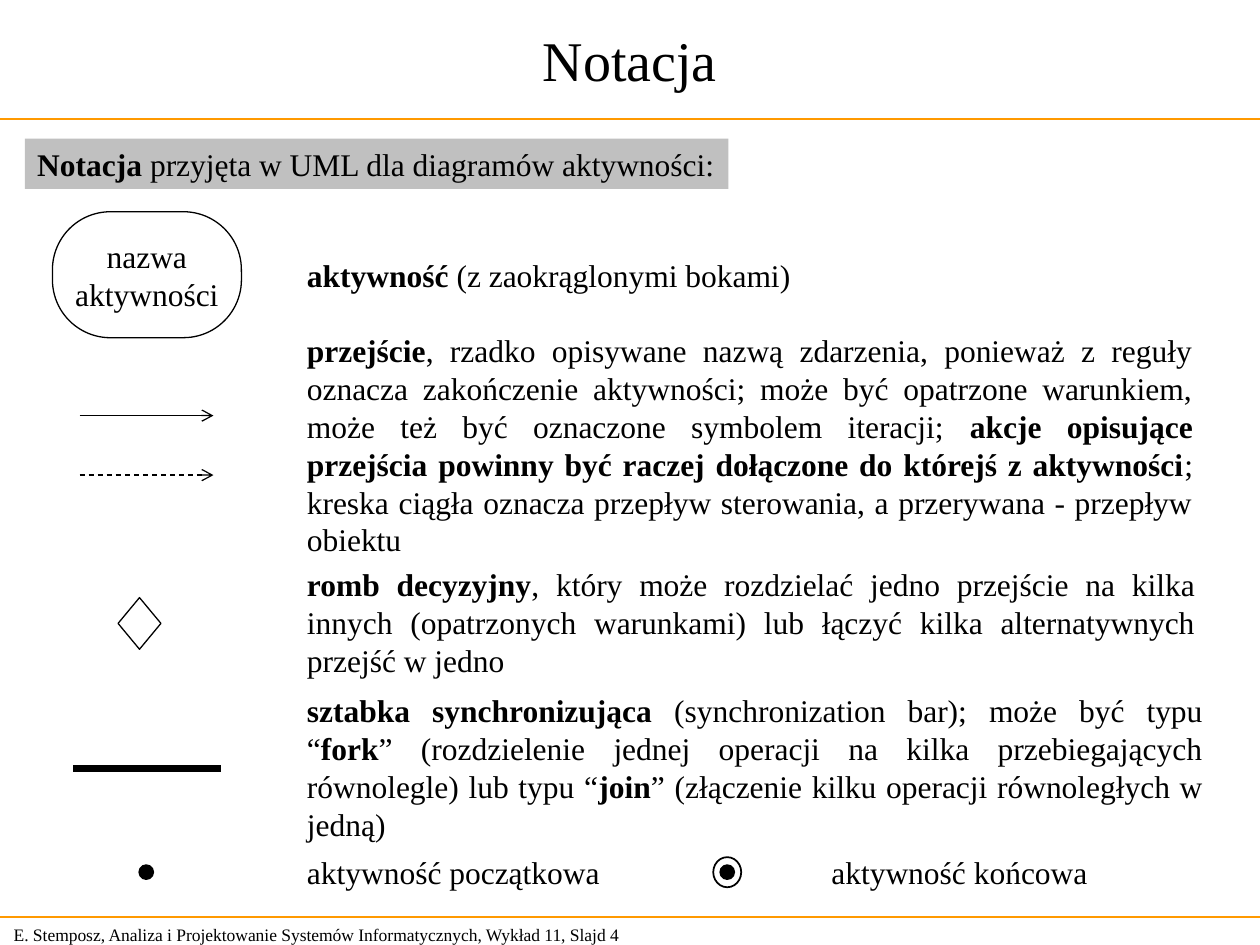
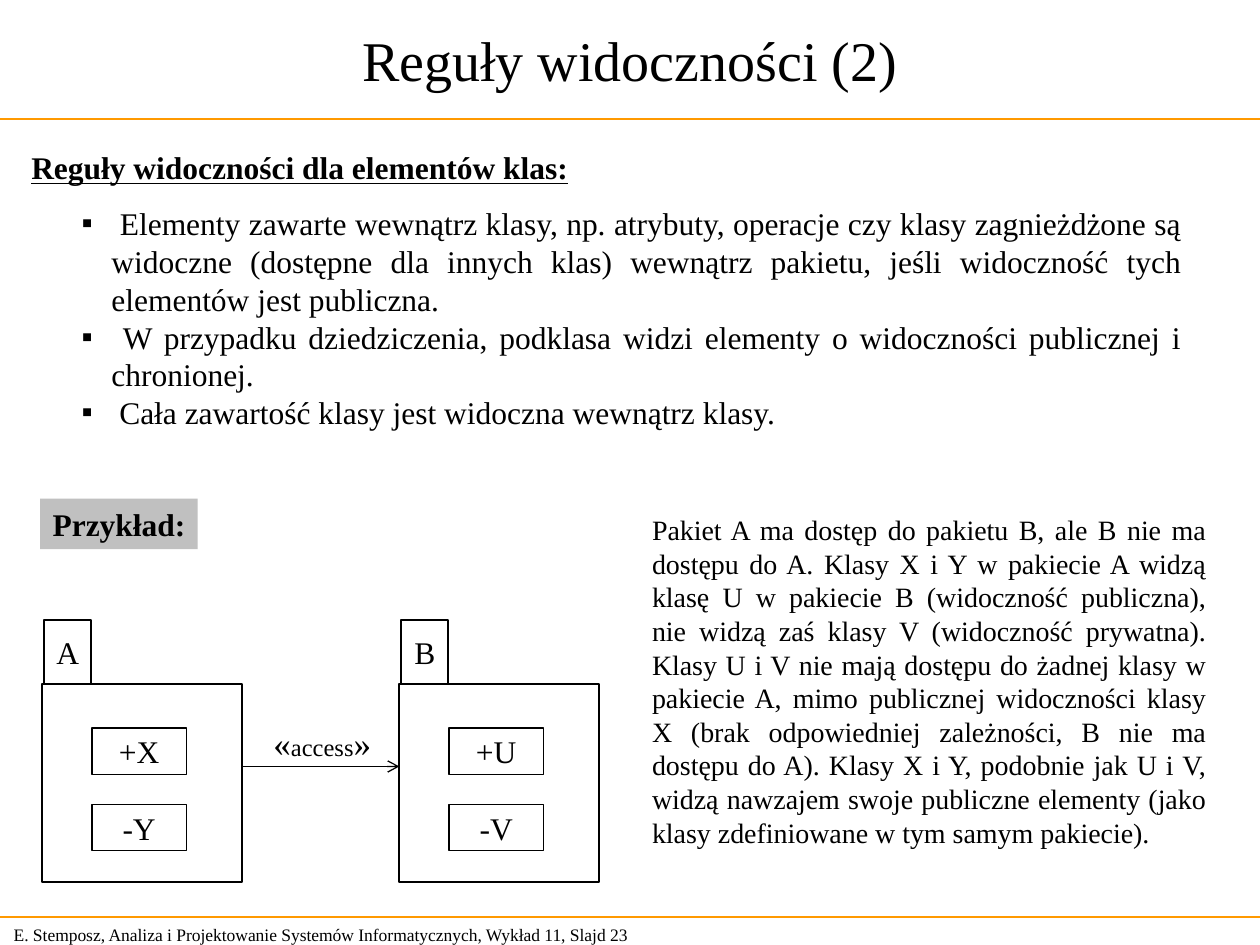
from lxml import etree
from pptx import Presentation
from pptx.dml.color import RGBColor
from pptx.enum.dml import MSO_LINE
from pptx.enum.shapes import MSO_CONNECTOR, MSO_SHAPE
from pptx.enum.text import MSO_ANCHOR, MSO_AUTO_SIZE, PP_ALIGN
from pptx.oxml.ns import qn
from pptx.util import Pt

LEFT, CENTER, JUSTIFY = PP_ALIGN.LEFT, PP_ALIGN.CENTER, PP_ALIGN.JUSTIFY
TOP, MIDDLE = MSO_ANCHOR.TOP, MSO_ANCHOR.MIDDLE
RECT, ROUNDED = MSO_SHAPE.RECTANGLE, MSO_SHAPE.ROUNDED_RECTANGLE
DIAMOND, OVAL = MSO_SHAPE.DIAMOND, MSO_SHAPE.OVAL
STRAIGHT, DASH = MSO_CONNECTOR.STRAIGHT, MSO_LINE.DASH
NO_FIT = MSO_AUTO_SIZE.NONE

COLORS = {"ink": "000000", "label": "C0C0C0", "rule": "FF9900"}
FONT = "Times New Roman"
TITLE_ONLY = 5
WIDTH, HEIGHT = 720, 540
BULLET_INDENT = 17


def color(name):
    return RGBColor.from_string(COLORS[name])


def points(box):
    return [Pt(value) for value in box]


def spans_of(text):
    """Split text into spans; the parts between asterisks are bold."""
    return [(part, {"bold": index % 2 == 1})
            for index, part in enumerate(text.split("*")) if part]


def write(frame, paras, align=LEFT, anchor=TOP, wrap=True, size=18, **font):
    """Fill a text frame; a para is marked-up text or a list of spans."""
    layout = {"word_wrap": wrap, "vertical_anchor": anchor, "auto_size": NO_FIT,
              "margin_left": Pt(7.2), "margin_right": Pt(7.2),
              "margin_top": Pt(3.6), "margin_bottom": Pt(3.6)}
    for name, value in layout.items():
        setattr(frame, name, value)
    for index, content in enumerate(paras):
        para = frame.paragraphs[0] if index == 0 else frame.add_paragraph()
        para.alignment = align
        spans = spans_of(content) if isinstance(content, str) else content
        for text, extra in spans:
            span = para.add_run()
            span.text = text
            formats = {"name": FONT, "size": Pt(size), **font, **extra}
            for name, value in formats.items():
                setattr(span.font, name, value)
            span.font.color.rgb = color("ink")


def add_text(page, box, *paras, **formats):
    shape = page.shapes.add_textbox(*points(box))
    write(shape.text_frame, paras, **formats)
    return shape


def add_figure(page, kind, box, fill=None, line="ink", weight=0.75):
    shape = page.shapes.add_shape(kind, *points(box))
    shape.shadow.inherit = False
    if fill:
        shape.fill.solid()
        shape.fill.fore_color.rgb = color(fill)
    else:
        shape.fill.background()
    if line:
        shape.line.color.rgb = color(line)
        shape.line.width = Pt(weight)
    else:
        shape.line.fill.background()
    return shape


def add_line(page, left, right, y, line="ink", weight=0.75, dash=None, arrow=False):
    connector = page.shapes.add_connector(STRAIGHT, *points((left, y, right, y)))
    connector.line.color.rgb = color(line)
    connector.line.width = Pt(weight)
    if dash:
        connector.line.dash_style = dash
    properties = connector.element.spPr
    if arrow:
        etree.SubElement(properties.find(qn("a:ln")), qn("a:tailEnd"), type="arrow")
    etree.SubElement(properties, qn("a:effectLst"))


def add_label(page, box, text):
    shape = add_figure(page, RECT, box, fill="label", line=None)
    write(shape.text_frame, [text], wrap=False)


def add_bullets(page, box, items):
    shape = add_text(page, box, *items, align=JUSTIFY)
    for para in shape.text_frame.paragraphs:
        properties = para._p.get_or_add_pPr()
        properties.set("marL", str(Pt(BULLET_INDENT)))
        properties.set("indent", str(-Pt(BULLET_INDENT)))
        etree.SubElement(properties, qn("a:buFont"), typeface=FONT)
        etree.SubElement(properties, qn("a:buChar"), char="▪")


def add_page(deck, title, number):
    """Add a page with its title, the two rules and the footer."""
    page = deck.slides.add_slide(deck.slide_layouts[TITLE_ONLY])
    heading = page.shapes.title
    heading.left, heading.top, heading.width, heading.height = points((3, 3, 714, 61))
    write(heading.text_frame, [title], align=CENTER, anchor=MIDDLE, size=32, bold=True)
    for y in (68, 524):
        add_line(page, 0, WIDTH, y, line="rule")
    add_text(page, (0.7, 524.2, 400, 19.4),
             "E. Stemposz, Analiza i Projektowanie Systemów Informatycznych, "
             f"Wykład 11, Slajd {number}", anchor=MIDDLE, size=10)
    return page


def add_symbols(page, left, top):
    """Draw the column of UML symbols down from its top left corner."""
    activity = add_figure(page, ROUNDED, (left, top, 108, 72))
    activity.adjustments[0] = 0.46
    write(activity.text_frame, ["nazwa", "aktywności"], align=CENTER,
          anchor=MIDDLE, wrap=False, bold=True)
    for offset, dash in ((116.5, None), (150.5, DASH)):
        add_line(page, left + 15.5, left + 92, top + offset, dash=dash, arrow=True)
    add_figure(page, DIAMOND, (left + 37.5, top + 220.5, 24.5, 29.5))
    add_line(page, left + 12, left + 96, top + 318, weight=4)


def add_dot(page, x, y, ringed=False):
    if ringed:
        add_figure(page, OVAL, (x - 8, y - 8.6, 16, 17.2), weight=1)
    add_figure(page, OVAL, (x - 4, y - 4, 8, 8), fill="ink", weight=1)


def add_descriptions(page, left, top):
    rows = (
        (0, 334, 29, "*aktywność* (z zaokrąglonymi bokami)"),
        (43.2, 520.5, 137,
         "*przejście*, rzadko opisywane nazwą zdarzenia, ponieważ z reguły oznacza "
         "zakończenie aktywności; może być opatrzone warunkiem, może też być oznaczone "
         "symbolem iteracji; *akcje opisujące przejścia powinny być raczej dołączone "
         "do którejś z aktywności*; kreska ciągła oznacza przepływ sterowania, "
         "a przerywana - przepływ obiektu"),
        (177, 522, 72,
         "*romb decyzyjny*, który może rozdzielać jedno przejście na kilka innych "
         "(opatrzonych warunkami) lub łączyć kilka alternatywnych przejść w jedno"),
        (249, 526.3, 94,
         "*sztabka synchronizująca* (synchronization bar); może być typu “*fork*” "
         "(rozdzielenie jednej operacji na kilka przebiegających równolegle) lub typu "
         "“*join*” (złączenie kilku operacji równoległych w jedną)"),
    )
    for offset, width, height, text in rows:
        add_text(page, (left, top + offset, width, height), text, align=JUSTIFY)


def add_end_states(page, left, top):
    middle = top + 14.6
    add_dot(page, left - 84.7, middle)
    add_text(page, (left, top, 182, 29), "aktywność początkowa", wrap=False)
    add_dot(page, left + 247.3, middle, ringed=True)
    add_text(page, (left + 299.7, top, 161, 29), "aktywność końcowa", wrap=False)


def add_package(page, left, top, name, classes):
    tab = add_figure(page, RECT, (left + 1, top, 27, 36.5), weight=1)
    add_figure(page, RECT, (left, top + 36.5, 114, 113), weight=1)
    boxes = [tab] + [add_figure(page, RECT, (left + 28.3, top + 61.5 + row * 43.6, 54, 26.6))
                     for row in range(len(classes))]
    for shape, text in zip(boxes, (name, *classes)):
        write(shape.text_frame, [text], align=CENTER, anchor=MIDDLE,
              wrap=False, bold=True)


def add_access_example(page, left, top):
    """Draw package A with its access arrow to package B."""
    step = 204
    add_package(page, left, top, "A", ("+X", "-Y"))
    add_package(page, left + step, top, "B", ("+U", "-V"))
    add_line(page, left + 114, left + step, top + 83.5, arrow=True)
    quote = {"size": Pt(20)}
    add_text(page, (left + 125, top + 54.5, 70, 32),
             [("«", quote), ("access", {"size": Pt(14)}), ("»", quote)], wrap=False)


def build_notation(deck):
    page = add_page(deck, "Notacja", 4)
    add_label(page, (14.2, 79.2, 402, 28.8),
              "*Notacja* przyjęta w UML dla diagramów aktywności:")
    add_symbols(page, 30, 121)
    add_descriptions(page, 168.3, 142.6)
    add_end_states(page, 168.3, 483.8)


def build_visibility(deck):
    page = add_page(deck, "Reguły widoczności (2)", 23)
    add_text(page, (10.8, 81.3, 321, 29), "Reguły widoczności dla elementów klas:",
             wrap=False, underline=True, size=18).text_frame.paragraphs[0].runs[0].font.bold = True
    add_bullets(page, (39.6, 113.2, 643, 137), (
        " Elementy zawarte wewnątrz klasy, np. atrybuty, operacje czy klasy zagnieżdżone "
        "są widoczne (dostępne dla innych klas) wewnątrz pakietu, jeśli widoczność tych "
        "elementów jest publiczna.",
        " W przypadku dziedziczenia, podklasa widzi elementy o widoczności publicznej "
        "i chronionej.",
        " Cała zawartość klasy jest widoczna wewnątrz klasy.",
    ))
    add_label(page, (23, 285, 90, 28.8), "*Przykład:*")
    add_access_example(page, 24.2, 354.5)
    add_text(page, (365.5, 289.5, 331, 218),
             "Pakiet A ma dostęp do pakietu B, ale B nie ma dostępu do A. Klasy X i Y "
             "w pakiecie A widzą klasę U w pakiecie B (widoczność publiczna), nie widzą "
             "zaś klasy V (widoczność prywatna). Klasy U i V nie mają dostępu do żadnej "
             "klasy w pakiecie A, mimo publicznej widoczności klasy X (brak odpowiedniej "
             "zależności, B nie ma dostępu do A). Klasy X i Y, podobnie jak U i V, widzą "
             "nawzajem swoje publiczne elementy (jako klasy zdefiniowane w tym samym "
             "pakiecie).", align=JUSTIFY, size=16)


def main():
    deck = Presentation()
    deck.slide_width, deck.slide_height = points((WIDTH, HEIGHT))
    build_notation(deck)
    build_visibility(deck)
    deck.save("out.pptx")


if __name__ == "__main__":
    main()
